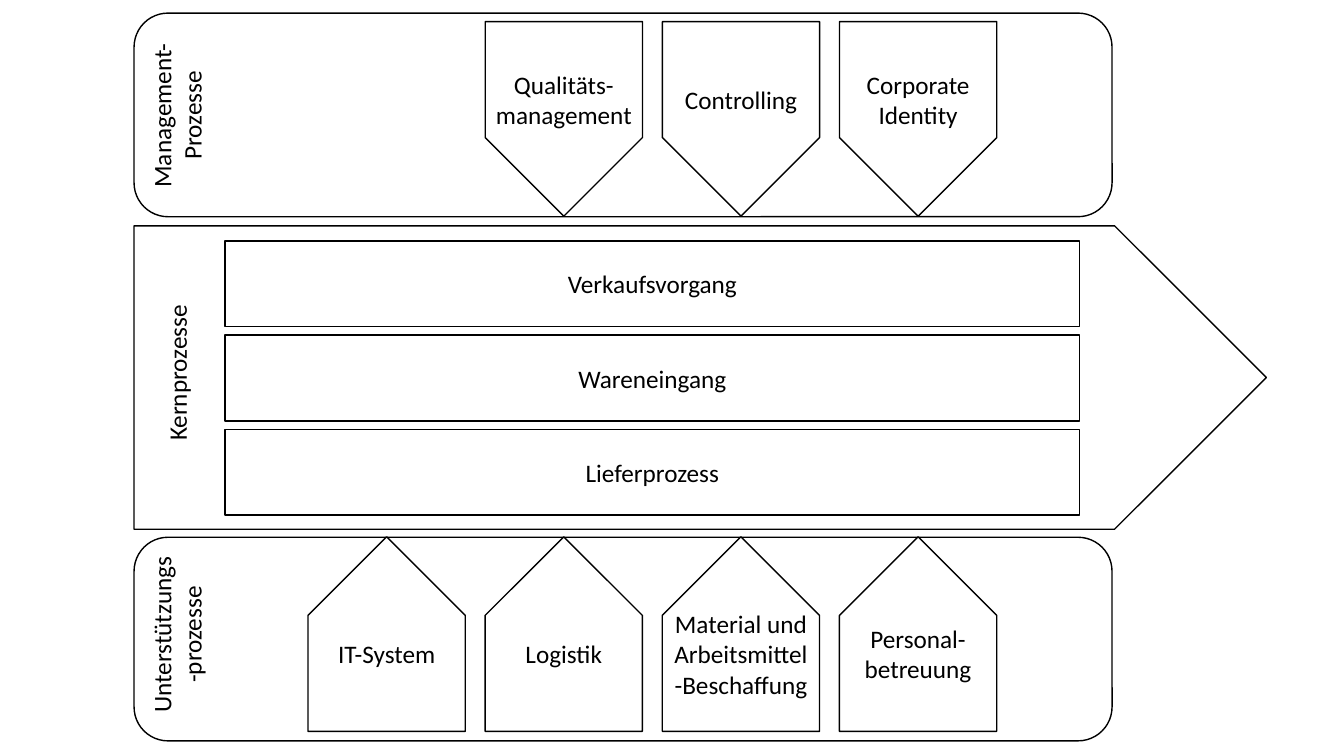
from dataclasses import dataclass

from pptx import Presentation
from pptx.dml.color import RGBColor
from pptx.enum.shapes import MSO_SHAPE as Shape
from pptx.enum.text import MSO_ANCHOR as Anchor, MSO_AUTO_SIZE as AutoSize, PP_ALIGN as Align
from pptx.util import Inches, Pt


@dataclass(frozen=True)
class Theme:
    ink: RGBColor = RGBColor(0, 0, 0)
    paper: RGBColor = RGBColor(255, 255, 255)
    font: str = "Calibri"
    text_size: Pt = Pt(18)
    line_width: Pt = Pt(1)


class ProcessMap:
    """Draws on a grid of square cells, ten to the inch."""
    CELL = Inches(0.1)

    def __init__(self, slide, theme):
        self.shapes = slide.shapes
        self.theme = theme

    def grid(self, *cells):
        return [round(c * self.CELL) for c in cells]

    def set_text(self, sp, text, anchor=Anchor.MIDDLE):
        tf = sp.text_frame
        tf.word_wrap = True
        tf.vertical_anchor = anchor
        tf.text = text
        p = tf.paragraphs[0]
        p.alignment = Align.CENTER
        for r in p.runs:
            r.font.name = self.theme.font
            r.font.size = self.theme.text_size
            r.font.color.rgb = self.theme.ink

    def box(self, kind, left, top, width, height, text=""):
        sp = self.shapes.add_shape(kind, *self.grid(left, top, width, height))
        sp.shadow.inherit = False
        sp.fill.solid()
        sp.fill.fore_color.rgb = self.theme.paper
        sp.line.color.rgb = self.theme.ink
        sp.line.width = self.theme.line_width
        if text:
            self.set_text(sp, text)
        return sp

    def arrow(self, mid_x, mid_y, text, up):
        """Pentagon turned up or down, with its text kept upright."""
        length, breadth = 19.3, 15.6
        sp = self.box(Shape.PENTAGON, mid_x - length / 2, mid_y - breadth / 2,
                      length, breadth, text)
        sp.rotation = 270 if up else 90
        sp.element.txBody.bodyPr.set("vert", "vert" if up else "vert270")

    def label(self, mid_x, mid_y, height, text):
        """Band title that reads from bottom to top."""
        width = 17.7
        sp = self.shapes.add_textbox(
            *self.grid(mid_x - width / 2, mid_y - height / 2, width, height))
        sp.rotation = 270
        self.set_text(sp, text, Anchor.TOP)
        sp.text_frame.auto_size = AutoSize.SHAPE_TO_FIT_TEXT


def main():
    prs = Presentation()
    prs.slide_width, prs.slide_height = Inches(13.33), Inches(7.5)
    pm = ProcessMap(prs.slides.add_slide(prs.slide_layouts[6]), Theme())
    left = 13.3

    # Bands: management, support and core
    for top in (1.3, 53.3):
        pm.box(Shape.ROUNDED_RECTANGLE, left, top, 97, 20.2)
    pm.box(Shape.PENTAGON, left, 22.4, 112.3, 30.1)

    # Core processes
    for i, name in enumerate(("Verkaufsvorgang", "Wareneingang", "Lieferprozess")):
        pm.box(Shape.RECTANGLE, 22.3, 23.9 + 9.35 * i, 84.8, 8.5, name)

    # Arrows share four columns; the management row starts at the second
    arrow_rows = (
        (11.8, False, 1, ("Qualitäts-management", "Controlling", "Corporate Identity")),
        (62.9, True, 0, ("IT-System", "Logistik",
                         "Material und Arbeitsmittel-Beschaffung", "Personal-betreuung")),
    )
    for mid_y, up, first, names in arrow_rows:
        for column, name in enumerate(names, first):
            pm.arrow(38.35 + 17.57 * column, mid_y, name, up)

    # Band titles
    for mid_y, height, title in ((11.45, 7.1, "Management-Prozesse"),
                                 (37, 4, "Kernprozesse"),
                                 (62.95, 7.1, "Unterstützungs-prozesse")):
        pm.label(17.55, mid_y, height, title)

    prs.save("out.pptx")


if __name__ == "__main__":
    main()
